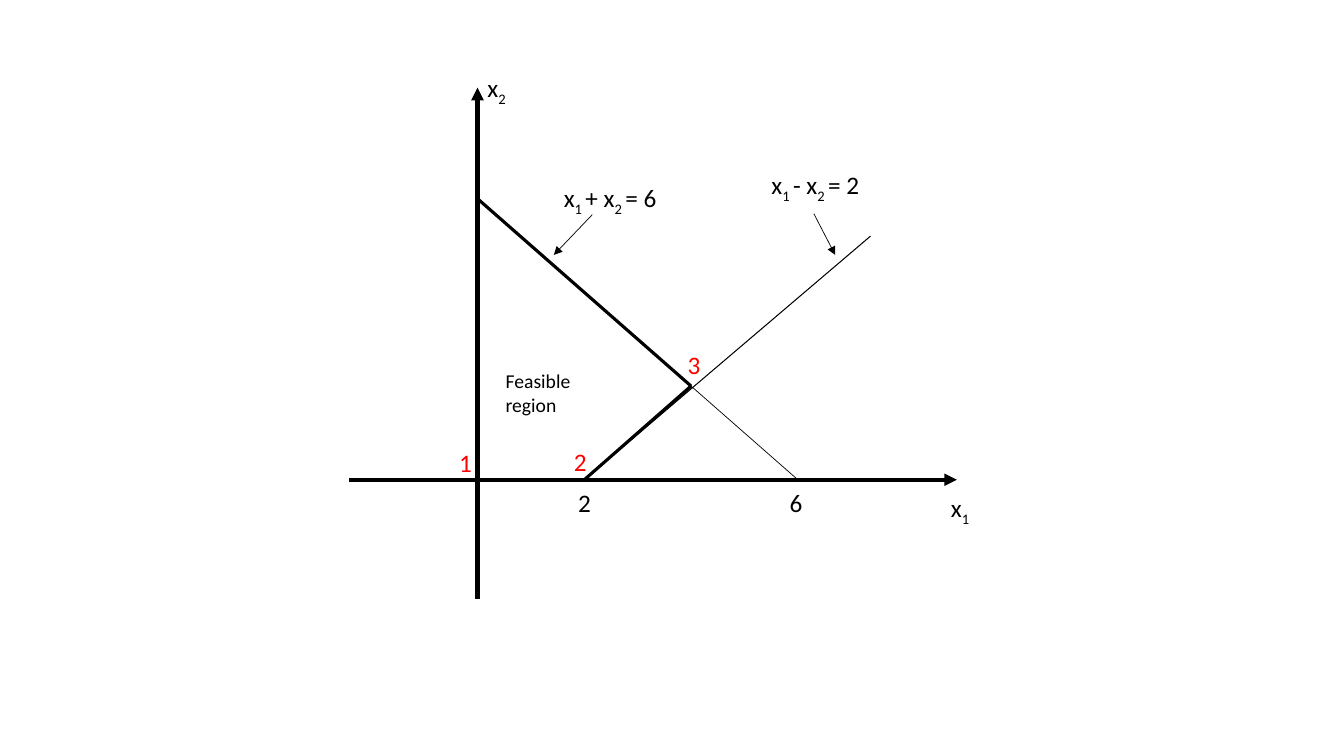
from lxml.etree import SubElement
from pptx import Presentation
from pptx.dml.color import RGBColor
from pptx.enum.shapes import MSO_CONNECTOR as Connector
from pptx.enum.text import MSO_AUTO_SIZE as AutoSize
from pptx.oxml.ns import qn
from pptx.util import Inches, Pt

SLIDE_WIDTH, SLIDE_HEIGHT = 13.33, 7.5
BLACK, RED = "000000", "FF0000"
X_MIN, X_MAX = -2.4, 8.98
Y_MIN, Y_MAX = -2.54, 8.37


def color(hex_string):
    """Turn a hex string into a colour."""
    return RGBColor.from_string(hex_string)


def add_text(slide, box, text, size=18, fill=BLACK):
    """Add a text box; every second part between bars is a subscript."""
    shape = slide.shapes.add_textbox(*map(Inches, box))
    frame = shape.text_frame
    frame.word_wrap = True
    frame.auto_size = AutoSize.SHAPE_TO_FIT_TEXT
    for index, part in enumerate(text.split("|")):
        run = frame.paragraphs[0].add_run()
        run.text = part
        run.font.name = "Calibri"
        run.font.size = Pt(size)
        run.font.color.rgb = color(fill)
        if index % 2:
            run._r.get_or_add_rPr().set("baseline", "-25000")


def add_line(slide, start, end, width, arrow=False):
    """Add a straight black line, with an arrowhead at its end if asked."""
    line = slide.shapes.add_connector(
        Connector.STRAIGHT, *map(Inches, (*start, *end)))
    line.line.color.rgb = color(BLACK)
    line.line.width = Pt(width)
    properties = line._element.spPr
    if arrow:
        SubElement(properties.find(qn("a:ln")), qn("a:tailEnd"), type="triangle")
    SubElement(properties, qn("a:effectLst"))


def add_feasible_region_plot(slide, left, top, width, height):
    """Draw axes, constraints and labels on the plot's own scale."""
    x_unit = width / (X_MAX - X_MIN)
    y_unit = height / (Y_MAX - Y_MIN)

    def place(x, y):
        """Convert plot coordinates to inches on the slide."""
        return left + (x - X_MIN) * x_unit, top + (Y_MAX - y) * y_unit

    origin, corner = (0, 0), (4, 2)
    sum_top, sum_foot = (0, 6), (6, 0)
    difference_foot, difference_top = (2, 0), (7.36, 5.2)
    lines = [
        ((X_MIN, 0), (X_MAX, 0), 3, True),
        ((0, Y_MIN), (0, Y_MAX), 3, True),
        (difference_foot, difference_top, 0.75, False),
        (sum_top, sum_foot, 0.5, False),
        (sum_top, corner, 2.25, False),
        (difference_foot, corner, 2.25, False),
        ((2.15, 5.66), (1.43, 4.8), 0.5, True),
        ((6.3, 5.68), (6.7, 4.8), 0.5, True),
    ]
    for start, end, weight, arrow in lines:
        add_line(slide, place(*start), place(*end), weight, arrow)

    labels = [
        ("x|2", 0, 8.8, 3.06),
        ("x|1", 8.68, -0.17, 3.06),
        ("x|1 |+ x|2 |= 6", 1.43, 6.45, 4.08),
        ("x|1 |- x|2 |= 2", 5.32, 6.73, 4.08),
        ("2", 1.7, -0.06, 2.23),
        ("6", 5.66, -0.06, 2.23),
    ]
    for text, x, y, columns in labels:
        add_text(slide, (*place(x, y), columns * x_unit, 0.86 * y_unit), text)
    add_text(slide, (*place(0.34, 2.47), 2.19 * x_unit, 1.23 * y_unit),
             "Feasible region", size=14)

    vertices = [(origin, -0.53, 0.8), (difference_foot, -0.38, 0.82),
                (corner, -0.25, 0.9)]
    for number, ((x, y), shift_x, shift_y) in enumerate(vertices, 1):
        add_text(slide, (*place(x + shift_x, y + shift_y),
                         1.38 * x_unit, 0.86 * y_unit), str(number), fill=RED)


presentation = Presentation()
presentation.slide_width = Inches(SLIDE_WIDTH)
presentation.slide_height = Inches(SLIDE_HEIGHT)
plot_slide = presentation.slides.add_slide(presentation.slide_layouts[6])
add_feasible_region_plot(plot_slide, 0.26 * SLIDE_WIDTH, 0.116 * SLIDE_HEIGHT,
                         0.452 * SLIDE_WIDTH, 0.676 * SLIDE_HEIGHT)
presentation.save("out.pptx")
